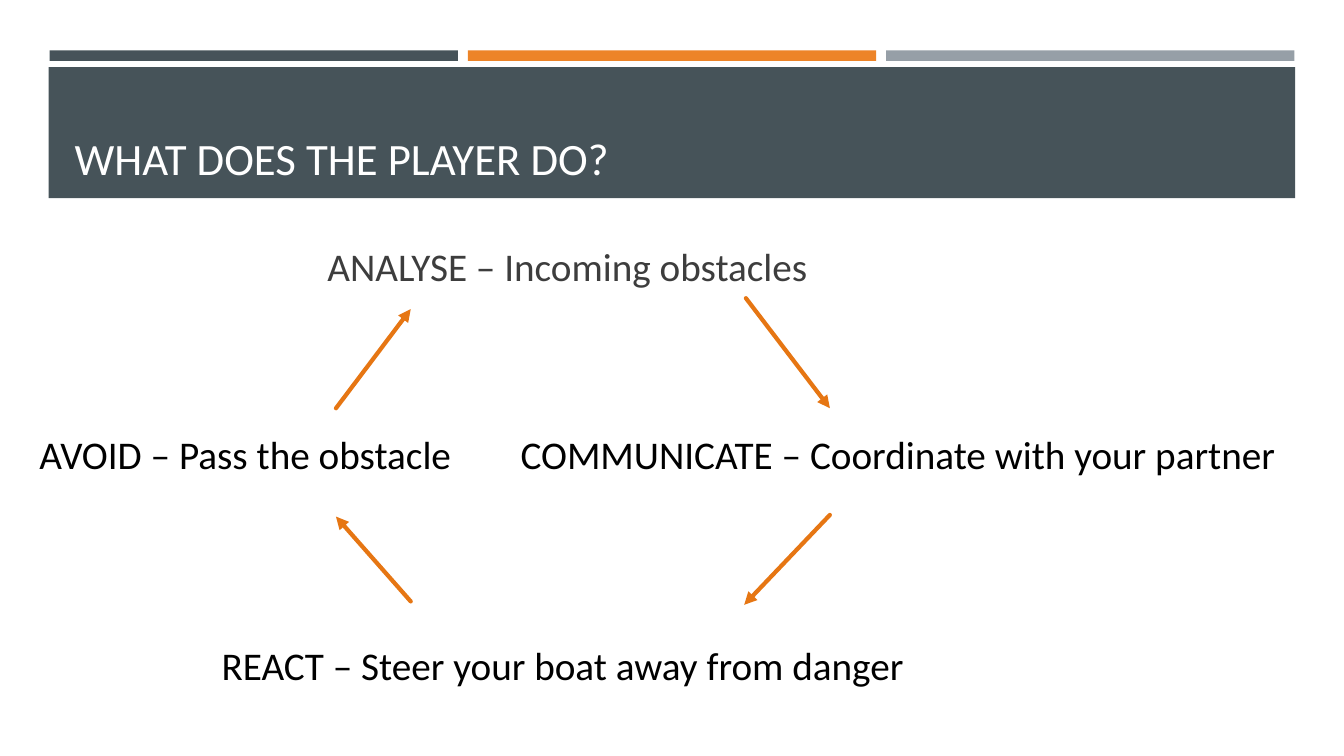
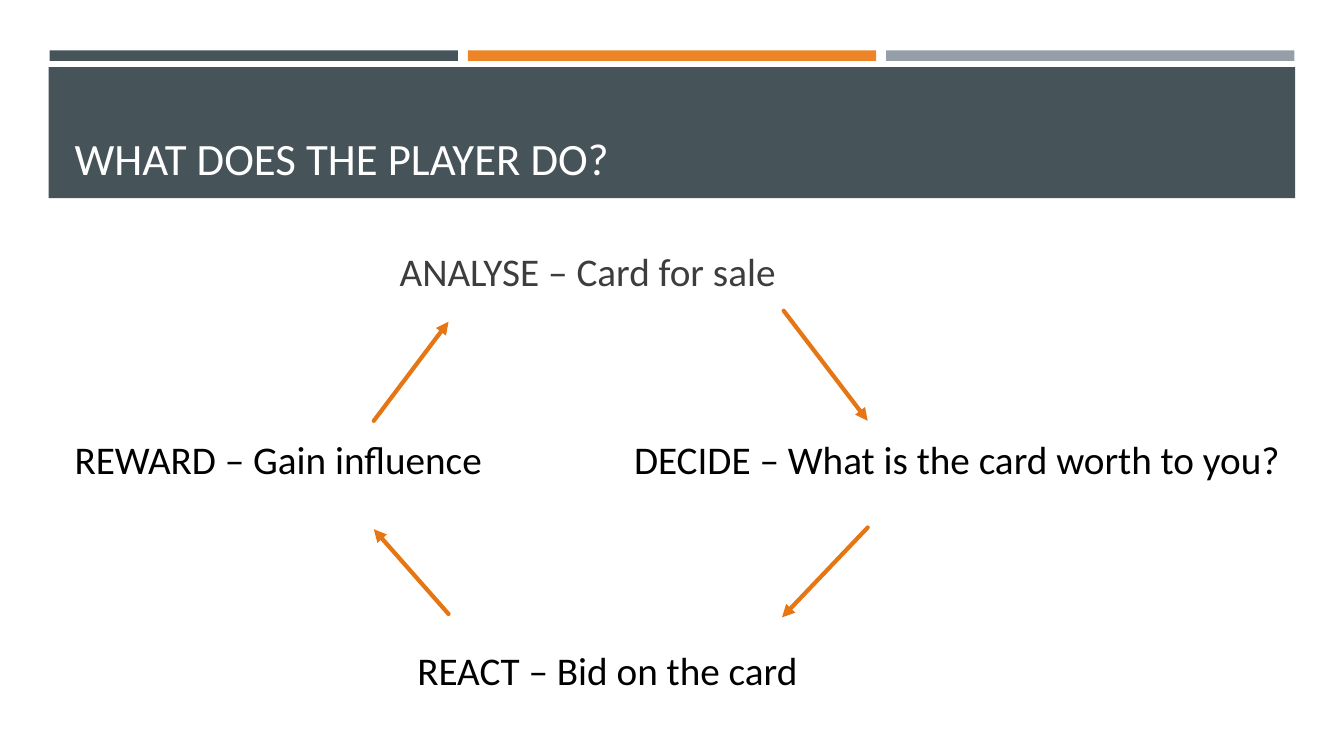
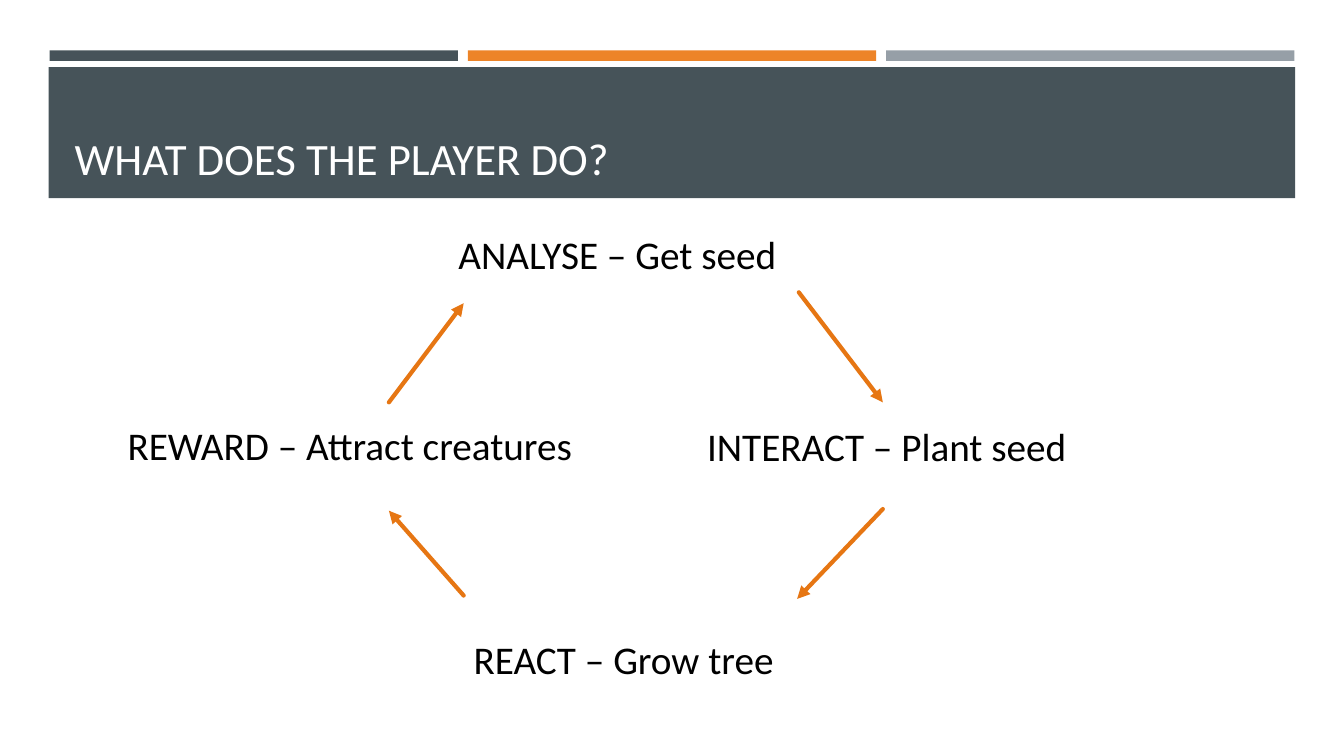
from dataclasses import dataclass

import pptx
import pptx.dml.color
import pptx.enum.shapes
import pptx.enum.text
import pptx.oxml.ns
import pptx.oxml.xmlchemy
import pptx.util
from lxml import etree

# The slide is a grid of 160 by 90 square cells; all lengths are in cells.
COLUMNS, ROWS = 160, 90
CELL = pptx.util.Inches(7.5) / ROWS


@dataclass(frozen=True)
class Theme:
    font: str = "Calibri"
    slate: str = "465359"
    orange: str = "ED8428"
    grey: str = "969FA7"
    arrow: str = "E67613"
    white: str = "FFFFFF"
    black: str = "000000"
    charcoal: str = "3D3D3D"
    title_size: int = 32
    label_size: int = 28
    arrow_width: int = 3


THEME = Theme()
ANCHOR = pptx.enum.text.MSO_ANCHOR


@dataclass(frozen=True)
class Box:
    left: float
    top: float
    width: float
    height: float = 6.8


@dataclass(frozen=True)
class Label:
    text: str
    box: Box
    color: str = THEME.black
    size: int = THEME.label_size
    anchor: ANCHOR = ANCHOR.TOP
    line_spacing: float = 1.0


@dataclass(frozen=True)
class Arrow:
    start: tuple[float, float]
    end: tuple[float, float]


@dataclass(frozen=True)
class GameLoop:
    ring_left: float
    ring_top: float
    steps: tuple[Label, ...]


# Shared header
BARS = (THEME.slate, THEME.orange, THEME.grey)
BAR = Box(5.9, 6, 48.6, 1.25)
BAR_PITCH = 49.8
BAND = Box(5.8, 8, 148.4, 15.6)
TITLE = Label("WHAT DOES THE PLAYER DO?", Box(7.7, 9.2, 144.7, 13.3),
              THEME.white, THEME.title_size, ANCHOR.BOTTOM)

# Clockwise arrows, measured from the ring's top left corner
RING = (
    Arrow((48.8, 0), (58.8, 13.1)),
    Arrow((58.8, 25.8), (48.6, 36.5)),
    Arrow((8.9, 36.1), (0, 26)),
    Arrow((0, 13.1), (8.9, 1.3)),
)

LOOPS = (
    GameLoop(40, 35.5, (
        Label("ANALYSE – Incoming obstacles", Box(37.8, 27.8, 65.2, 7.8),
              THEME.charcoal, anchor=ANCHOR.MIDDLE),
        Label("COMMUNICATE – Coordinate with your partner", Box(60.8, 50.6, 95.3)),
        Label("REACT – Steer your boat away from danger", Box(25.2, 75.7, 84.5)),
        Label("AVOID – Pass the obstacle", Box(3.5, 50.6, 52)),
    )),
    GameLoop(44.5, 37, (
        Label("ANALYSE – Card for sale", Box(46.4, 28.3, 59.4, 7.8),
              THEME.charcoal, anchor=ANCHOR.MIDDLE),
        Label("DECIDE – What is the card worth to you?", Box(74.3, 51.2, 80.2)),
        Label("REACT – Bid on the card", Box(48.5, 76.4, 48.2)),
        Label("REWARD – Gain influence", Box(7.7, 51.2, 51.5)),
    )),
    GameLoop(46.3, 34.8, (
        Label("ANALYSE – Get seed", Box(53.4, 27.4, 59.4, 7.8), line_spacing=0.9),
        Label("INTERACT – Plant seed", Box(83, 49.7, 48.8)),
        Label("REACT – Grow tree", Box(55.2, 75, 42.1)),
        Label("REWARD – Attract creatures", Box(14, 49.6, 59.2)),
    )),
)


def cells(*counts: float) -> list[pptx.util.Emu]:
    return [pptx.util.Emu(round(count * CELL)) for count in counts]


def place(box: Box) -> list[pptx.util.Emu]:
    return cells(box.left, box.top, box.width, box.height)


def rgb(color: str) -> pptx.dml.color.RGBColor:
    return pptx.dml.color.RGBColor.from_string(color)


def draw_block(slide: pptx.slide.Slide, box: Box, color: str) -> None:
    block = slide.shapes.add_shape(
        pptx.enum.shapes.MSO_SHAPE.RECTANGLE, *place(box))
    block.shadow.inherit = False
    block.fill.solid()
    block.fill.fore_color.rgb = rgb(color)
    block.line.fill.background()


def draw_label(slide: pptx.slide.Slide, label: Label) -> None:
    frame = slide.shapes.add_textbox(*place(label.box)).text_frame
    frame.word_wrap = True
    frame.vertical_anchor = label.anchor
    frame.text = label.text
    paragraph = frame.paragraphs[0]
    paragraph.line_spacing = label.line_spacing
    font = paragraph.runs[0].font
    font.name = THEME.font
    font.size = pptx.util.Pt(label.size)
    font.color.rgb = rgb(label.color)


def draw_arrow(slide: pptx.slide.Slide, arrow: Arrow, left: float, top: float) -> None:
    (x1, y1), (x2, y2) = arrow.start, arrow.end
    connector = slide.shapes.add_connector(
        pptx.enum.shapes.MSO_CONNECTOR.STRAIGHT,
        *cells(left + x1, top + y1, left + x2, top + y2))
    connector.line.color.rgb = rgb(THEME.arrow)
    connector.line.width = pptx.util.Pt(THEME.arrow_width)
    # Round cap, arrowhead and no shadow
    qn = pptx.oxml.ns.qn
    properties = connector.line._get_or_add_ln()
    properties.set("cap", "rnd")
    etree.SubElement(properties, qn("a:tailEnd"), type="triangle")
    etree.SubElement(properties.getparent(), qn("a:effectLst"))


def draw_header(slide: pptx.slide.Slide) -> None:
    for index, color in enumerate(BARS):
        bar = Box(BAR.left + index * BAR_PITCH, BAR.top, BAR.width, BAR.height)
        draw_block(slide, bar, color)
    draw_block(slide, BAND, THEME.slate)
    draw_label(slide, TITLE)


def main() -> None:
    deck = pptx.Presentation()
    deck.slide_width, deck.slide_height = cells(COLUMNS, ROWS)
    blank = deck.slide_layouts[6]
    for loop in LOOPS:
        slide = deck.slides.add_slide(blank)
        draw_header(slide)
        for step in loop.steps:
            draw_label(slide, step)
        for arrow in RING:
            draw_arrow(slide, arrow, loop.ring_left, loop.ring_top)
    deck.save("out.pptx")


if __name__ == "__main__":
    main()
